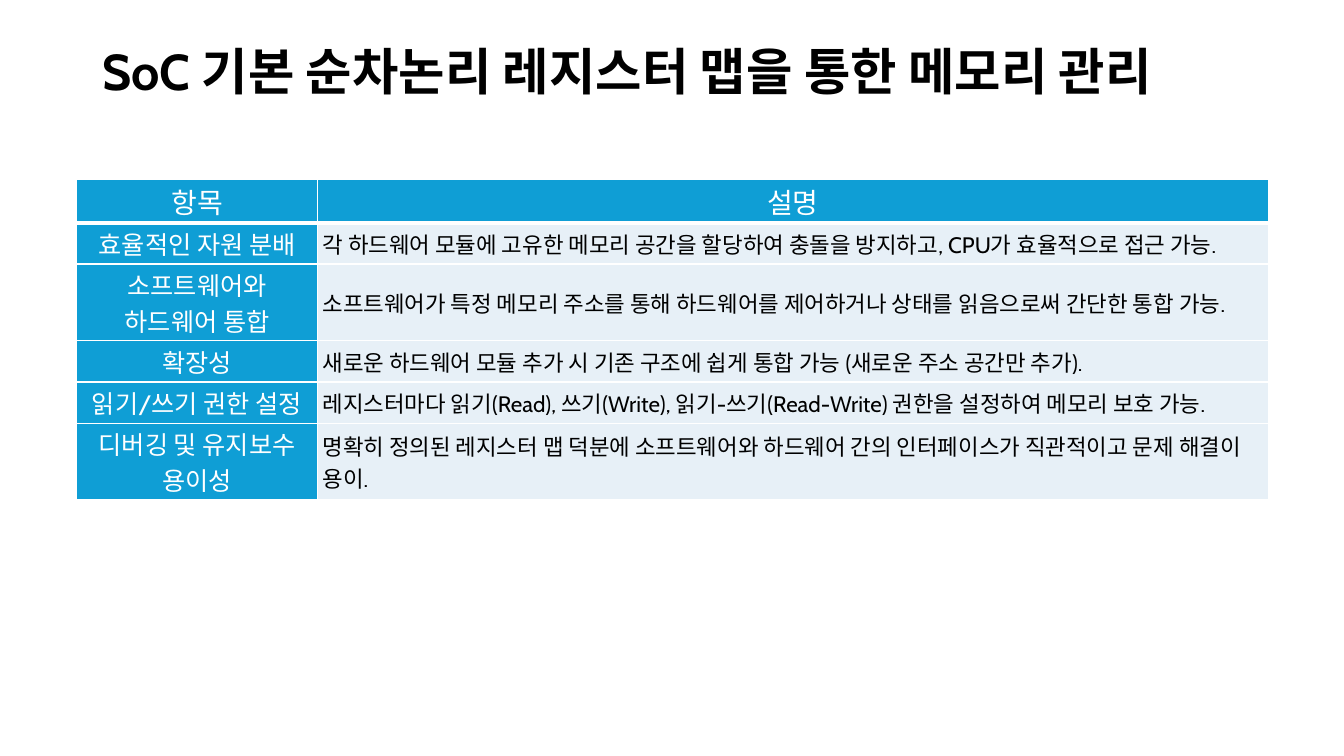
from lxml.etree import SubElement
from pptx import Presentation
from pptx.dml.color import RGBColor
from pptx.enum.text import MSO_ANCHOR as Anchor, PP_ALIGN as Align
from pptx.oxml.ns import qn
from pptx.util import Inches, Pt

COLORS = {"ink": "000000", "white": "FFFFFF", "blue": "0F9ED5", "pale": "E7F0F7"}
HEADER = ("항목", "설명")
ITEMS = [
    ("효율적인 자원 분배",
     "각 하드웨어 모듈에 고유한 메모리 공간을 할당하여 충돌을 방지하고, CPU가 효율적으로 접근 가능."),
    ("소프트웨어와 하드웨어 통합",
     "소프트웨어가 특정 메모리 주소를 통해 하드웨어를 제어하거나 상태를 읽음으로써 간단한 통합 가능."),
    ("확장성",
     "새로운 하드웨어 모듈 추가 시 기존 구조에 쉽게 통합 가능 (새로운 주소 공간만 추가)."),
    ("읽기/쓰기 권한 설정",
     "레지스터마다 읽기(Read), 쓰기(Write), 읽기-쓰기(Read-Write) 권한을 설정하여 메모리 보호 가능."),
    ("디버깅 및 유지보수 용이성",
     "명확히 정의된 레지스터 맵 덕분에 소프트웨어와 하드웨어 간의 인터페이스가 직관적이고 문제 해결이 용이."),
]
COLUMN_WIDTHS = (2.39, 9.43)
ROW_HEIGHTS = (0.43, 0.41, 0.76, 0.41, 0.41, 0.76)


class SlideBuilder:
    """Draws styled titles and tables on one slide."""

    font_name = "Cabin"

    def __init__(self, slide):
        self.slide = slide

    def set_text(self, frame, text, size, color, align=Align.LEFT, bold=False):
        para = frame.paragraphs[0]
        para.text = text
        para.alignment = align
        para.font.name = self.font_name
        para.font.size = Pt(size)
        para.font.bold = bold
        para.font.color.rgb = RGBColor.from_string(COLORS[color])
        return para

    def title(self, text, left, top, width, height):
        box = self.slide.shapes.add_textbox(*map(Inches, (left, top, width, height)))
        frame = box.text_frame
        frame.word_wrap = True
        frame.vertical_anchor = Anchor.MIDDLE
        self.set_text(frame, text, 36, "ink", bold=True).line_spacing = 0.9

    def borders(self, cell, top, bottom):
        properties = cell._tc.get_or_add_tcPr()
        for side, width in (("L", 1), ("R", 1), ("T", top), ("B", bottom)):
            line = SubElement(properties, qn(f"a:ln{side}"), w=str(Pt(width)))
            fill = SubElement(line, qn("a:solidFill"))
            SubElement(fill, qn("a:srgbClr"), val=COLORS["white"])

    def cell(self, cell, text, is_header, is_label):
        cell.margin_left = cell.margin_right = Inches(0.05)
        cell.margin_top = cell.margin_bottom = Inches(0.02)
        cell.vertical_anchor = Anchor.TOP if is_header else Anchor.MIDDLE
        shaded = is_header or is_label
        size = 20 if is_header else 18 if is_label else 16
        self.set_text(cell.text_frame, text, size, "white" if shaded else "ink",
                      Align.CENTER if shaded else Align.LEFT)
        cell.fill.solid()
        cell.fill.fore_color.rgb = RGBColor.from_string(COLORS["blue" if shaded else "pale"])

    def table(self, rows, left, top, widths, heights):
        bounds = map(Inches, (left, top, sum(widths), sum(heights)))
        table = self.slide.shapes.add_table(len(rows), len(widths), *bounds).table
        table.first_row = table.horz_banding = False
        for column, width in zip(table.columns, widths):
            column.width = Inches(width)
        for index, (texts, height) in enumerate(zip(rows, heights)):
            table.rows[index].height = Inches(height)
            for position, text in enumerate(texts):
                cell = table.cell(index, position)
                self.borders(cell, 3 if index == 1 else 1, 3 if index == 0 else 1)
                self.cell(cell, text, index == 0, position == 0)


def main():
    deck = Presentation()
    deck.slide_width, deck.slide_height = Inches(13.33), Inches(7.5)
    page = SlideBuilder(deck.slides.add_slide(deck.slide_layouts[6]))
    page.title("SoC 기본 순차논리 레지스터 맵을 통한 메모리 관리", 0.92, 0.4, 11.5, 0.68)
    page.table([HEADER, *ITEMS], 0.76, 1.78, COLUMN_WIDTHS, ROW_HEIGHTS)
    deck.save("out.pptx")


if __name__ == "__main__":
    main()
